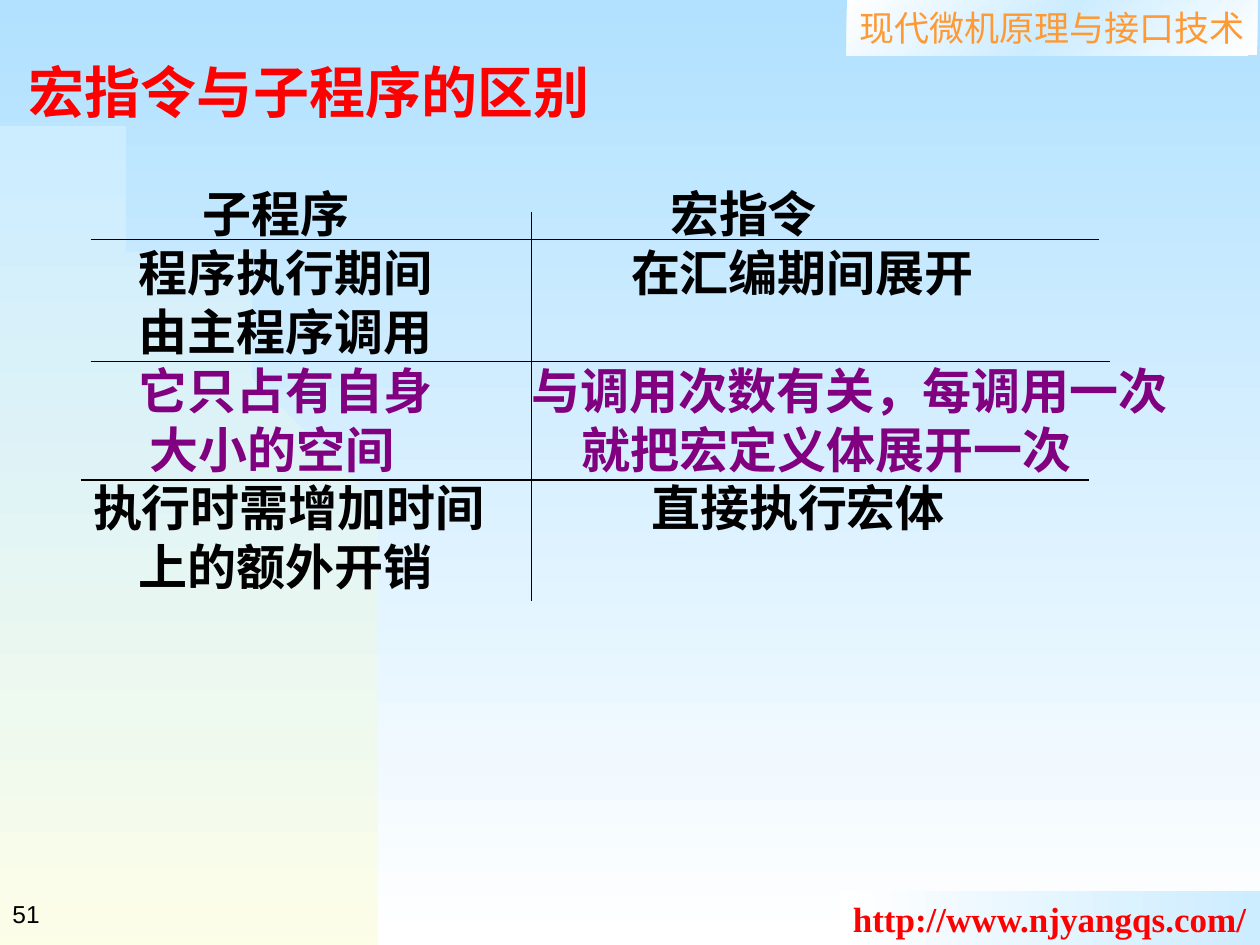
from copy import deepcopy
from math import cos, pi, sin

from pptx import Presentation
from pptx.dml.color import RGBColor
from pptx.enum.shapes import MSO_CONNECTOR, MSO_SHAPE
from pptx.enum.text import MSO_ANCHOR, PP_ALIGN
from pptx.oxml.ns import qn
from pptx.util import Inches, Pt
from lxml.etree import SubElement

WIDTH, HEIGHT = 10, 7.5
SERIF, SANS = "Times New Roman", "Arial"
BLACK, RED, PURPLE, ORANGE = "000000", "FF0000", "800080", "FF9933"
WHITE, PALE_BLUE = "FFFFFF", "CCECFF"

# left text, its start, right text, its start, colour
# (starts are inches from the text edge of the comparison box)
COMPARISON = [
    ("子程序", 1.38, "宏指令", 5.09, BLACK),
    ("程序执行期间", 0.87, "在汇编期间展开", 4.78, BLACK),
    ("由主程序调用", 0.87, None, None, BLACK),
    ("它只占有自身", 0.87, "与调用次数有关，每调用一次", 3.99, PURPLE),
    ("大小的空间", 0.96, "就把宏定义体展开一次", 4.39, PURPLE),
    ("执行时需增加时间", 0.51, "直接执行宏体", 4.94, BLACK),
    ("上的额外开销", 0.87, None, None, BLACK),
]
RULES = [
    (0.72, 1.9, 8.72, 1.9),
    (4.22, 1.68, 4.22, 4.77),
    (0.64, 3.81, 8.64, 3.81),
    (0.72, 2.87, 8.81, 2.87),
]


def color(value):
    return RGBColor.from_string(value)


def style(paragraph, size, value, bold=False, face=SERIF):
    paragraph.alignment = PP_ALIGN.LEFT
    for run in paragraph.runs:
        font = run.font
        font.size, font.bold, font.name = Pt(size), bold, face
        font.color.rgb = color(value)


def paint_gradient(fill, start, end, clockwise):
    fill.gradient()
    fill.gradient_angle = (360 - clockwise) % 360
    for stop, value in zip(fill.gradient_stops, (start, end)):
        stop.color.rgb = color(value)


def add_middle_stop(shape, value):
    first = next(shape._element.iter(qn("a:gs")))
    middle = deepcopy(first)
    middle.set("pos", "50000")
    middle.find(qn("a:srgbClr")).set("val", value)
    first.addnext(middle)


def add_arc(slide, top, width, steps=90):
    """Quarter ellipse standing in the lower left corner, behind everything."""
    angles = [pi / 2 * i / steps for i in range(1, steps + 1)]
    outline = [(width * sin(a), HEIGHT - (HEIGHT - top) * cos(a)) for a in angles]
    builder = slide.shapes.build_freeform(0, top, scale=Inches(1))
    builder.add_line_segments(outline + [(0, HEIGHT)], close=True)
    arc = builder.convert_to_shape()
    arc.shadow.inherit = False
    arc.line.fill.background()
    paint_gradient(arc.fill, PALE_BLUE, "FFFFE7", 90)
    slide.shapes._spTree.insert(2, arc._element)


def add_banner(slide, box, text, value, bold, end, clockwise):
    banner = slide.shapes.add_shape(MSO_SHAPE.RECTANGLE, *map(Inches, box))
    banner.shadow.inherit = False
    banner.line.fill.background()
    paint_gradient(banner.fill, WHITE, end, clockwise)
    frame = banner.text_frame
    frame.text = text
    frame.word_wrap = False
    frame.vertical_anchor = MSO_ANCHOR.TOP
    style(frame.paragraphs[0], 20, value, bold)
    return banner


def set_title(slide, text):
    title = slide.shapes.title
    title.left, title.top = Inches(0.13), Inches(0.41)
    title.width, title.height = Inches(9.62), Inches(0.63)
    frame = title.text_frame
    frame.text = text
    frame.vertical_anchor = MSO_ANCHOR.TOP
    style(frame.paragraphs[0], 32, RED, True)


def set_tabs(paragraph, stops):
    tabs = SubElement(paragraph._p.get_or_add_pPr(), qn("a:tabLst"))
    for stop in stops:
        SubElement(tabs, qn("a:tab"), pos=str(Inches(stop)), algn="l")


def add_comparison(slide):
    box = slide.shapes.add_textbox(*map(Inches, (0.13, 1.41, 9.62, 3.37)))
    frame = box.text_frame
    frame.word_wrap = True
    for i, (left, left_at, right, right_at, value) in enumerate(COMPARISON):
        paragraph = frame.add_paragraph() if i else frame.paragraphs[0]
        paragraph.text = f"\t{left}\t{right}" if right else f"\t{left}"
        set_tabs(paragraph, [left_at, right_at] if right else [left_at])
        style(paragraph, 28, value, True)


def add_rule(slide, ends):
    rule = slide.shapes.add_connector(MSO_CONNECTOR.STRAIGHT, *map(Inches, ends))
    rule.line.color.rgb = color(BLACK)
    rule.line.width = Pt(0.75)
    SubElement(rule._element.spPr, qn("a:effectLst"))


def add_page_number(slide, number):
    box = slide.shapes.add_textbox(*map(Inches, (0, 7, 2.08, 0.5)))
    frame = box.text_frame
    frame.text = number
    frame.word_wrap = False
    frame.vertical_anchor = MSO_ANCHOR.MIDDLE
    style(frame.paragraphs[0], 14, BLACK, face=SANS)


def main():
    deck = Presentation()
    deck.slide_width, deck.slide_height = Inches(WIDTH), Inches(HEIGHT)
    slide = deck.slides.add_slide(deck.slide_layouts[5])
    paint_gradient(slide.background.fill, "B1E1FF", WHITE, 90)
    add_arc(slide, 0.92, 3.17)
    header = add_banner(slide, (6.72, 0, 3.26, 0.44), "现代微机原理与接口技术",
                        ORANGE, False, WHITE, 45)
    add_middle_stop(header, PALE_BLUE)
    add_banner(slide, (6.67, 7.07, 3.34, 0.44), "http://www.njyangqs.com/",
               RED, True, PALE_BLUE, 0)
    add_page_number(slide, "51")
    set_title(slide, "宏指令与子程序的区别")
    add_comparison(slide)
    for ends in RULES:
        add_rule(slide, ends)
    deck.save("out.pptx")


if __name__ == "__main__":
    main()
